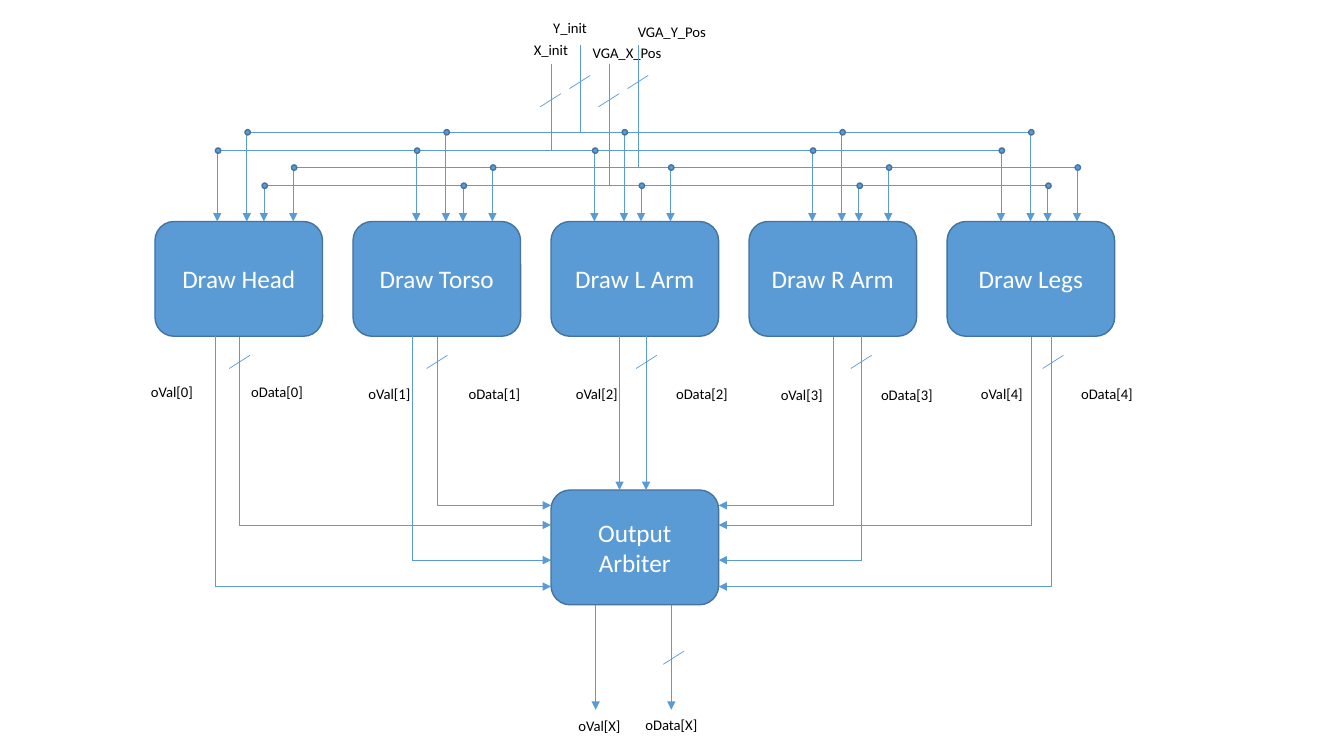
from lxml import etree
from pptx import Presentation
from pptx.dml.color import RGBColor
from pptx.enum.shapes import MSO_CONNECTOR, MSO_SHAPE
from pptx.enum.text import MSO_ANCHOR, MSO_AUTO_SIZE, PP_ALIGN
from pptx.oxml.ns import qn
from pptx.util import Pt

STRAIGHT, ELBOW = MSO_CONNECTOR.STRAIGHT, MSO_CONNECTOR.ELBOW
ROUNDED, OVAL = MSO_SHAPE.ROUNDED_RECTANGLE, MSO_SHAPE.OVAL
CENTER, MIDDLE, TOP = PP_ALIGN.CENTER, MSO_ANCHOR.MIDDLE, MSO_ANCHOR.TOP
NO_FIT, GROW = MSO_AUTO_SIZE.NONE, MSO_AUTO_SIZE.SHAPE_TO_FIT_TEXT

BLUE, EDGE, WHITE, BLACK = "5B9BD5", "43739E", "FFFFFF", "000000"

# Blocks
BLOCK_W, BLOCK_H, BLOCK_TOP = 119.7, 82, 158.2
BLOCK_LEFT, BLOCK_STEP = 110.7, 141.45
BLOCK_BOTTOM = BLOCK_TOP + BLOCK_H
ARBITER_LEFT = BLOCK_LEFT + 2 * BLOCK_STEP
ARBITER_RIGHT = ARBITER_LEFT + BLOCK_W
ARBITER_TOP = 350
ARBITER_BOTTOM = ARBITER_TOP + BLOCK_H
PARTS = ["Head", "Torso", "L Arm", "R Arm", "Legs"]

# First input tap of each block, and the offset of each bus from it
TAPS = [155.2, 297.4, 424.6, 580.2, 715]
# offset, bus y, feed x, feed top, label, label left, label top
BUSES = [
    (0, 107.6, 393.6, 45.5, "X_init", 349.2, 25.9),
    (33.3, 132.7, 435.2, 45.5, "VGA_X_Pos", 403.6, 27.6),
    (21.1, 94.5, 414.5, 32.5, "Y_init", 362.9, 9.6),
    (54.3, 119.7, 455.9, 32.5, "VGA_Y_Pos", 435.6, 12.7),
]

# Outputs of each block: slash x, left and top of the oVal label
OUTPUTS = [(171.2, 78.5, 270.2), (312.2, 233.8, 271.3), (461.8, 382, 271.3),
           (615.2, 528.4, 272.2), (752.2, 671.3, 271.2)]
DATA_LABEL_SHIFT = 75.1

# Elbow wires: x, start y, end y, arbiter side
ELBOWS = [(170.9, 224, 375, ARBITER_LEFT), (312.4, 210, 361, ARBITER_LEFT),
          (595, 210, 361, ARBITER_RIGHT), (736.8, 224, 375, ARBITER_RIGHT)]
# Two-piece wires: x, end y, arbiter side
WIRES = [(154, 419, ARBITER_LEFT), (294.6, 400.1, ARBITER_LEFT),
         (615.5, 400.1, ARBITER_RIGHT), (750.8, 419, ARBITER_RIGHT)]


def rgb(color):
    return RGBColor.from_string(color)


def set_all(obj, values):
    for name, value in values.items():
        setattr(obj, name, value)


def write(sp, text, size, color, frame):
    tf = sp.text_frame
    set_all(tf, {"word_wrap": True, **frame})
    p = tf.paragraphs[0]
    p.alignment = CENTER
    r = p.add_run()
    r.text = text
    set_all(r.font, {"name": "Calibri", "size": Pt(size)})
    r.font.color.rgb = rgb(color)


def add_filled(s, kind, x, y, w, h):
    sp = s.shapes.add_shape(kind, Pt(x), Pt(y), Pt(w), Pt(h))
    sp.shadow.inherit = False
    sp.fill.solid()
    sp.fill.fore_color.rgb = rgb(BLUE)
    sp.line.color.rgb = rgb(EDGE)
    sp.line.width = Pt(1)
    return sp


def add_block(s, text, x, y):
    sp = add_filled(s, ROUNDED, x, y, BLOCK_W, BLOCK_H)
    write(sp, text, 18, WHITE,
          {"vertical_anchor": MIDDLE, "auto_size": NO_FIT})


def add_dot(s, cx, cy, d=3.8):
    add_filled(s, OVAL, cx - d / 2, cy - d / 2, d, d)


def add_label(s, text, x, y):
    sp = s.shapes.add_textbox(Pt(x), Pt(y), Pt(88.6), Pt(20))
    write(sp, text, 10.5, BLACK, {"vertical_anchor": TOP, "auto_size": GROW})


def add_line(s, x1, y1, x2, y2, arrow=False, kind=STRAIGHT):
    c = s.shapes.add_connector(kind, Pt(x1), Pt(y1), Pt(x2), Pt(y2))
    c.line.color.rgb = rgb(BLUE)
    c.line.width = Pt(0.5)
    pr = c._element.spPr
    if arrow:
        etree.SubElement(pr.find(qn("a:ln")), qn("a:tailEnd"), type="triangle")
    etree.SubElement(pr, qn("a:effectLst"))
    return c


def add_elbow(s, x1, y1, x2, y2):
    """Wire down from (x1, y1), then sideways to (x2, y2)."""
    cx, cy = (x1 + x2) / 2, (y1 + y2) / 2
    half_w, half_h = (y2 - y1) / 2, abs(x2 - x1) / 2
    to_right = x2 > x1
    if to_right:
        half_w = -half_w  # drawn right to left, so the wire is flipped
    c = add_line(s, cx - half_w, cy - half_h, cx + half_w, cy + half_h,
                 True, ELBOW)
    pr = c._element.spPr
    pr.find(qn("a:prstGeom")).set("prst", "bentConnector2")
    pr.find(qn("a:xfrm")).set("rot", str((270 if to_right else 90) * 60000))


def add_slash(s, cx, cy):
    add_line(s, cx - 7.4, cy + 4.7, cx + 7.4, cy - 4.7)


def add_bus(s, offset, y, feed_x, feed_top, label, label_x, label_y):
    xs = [tap + offset for tap in TAPS]
    add_line(s, xs[0], y, xs[-1], y)
    add_line(s, feed_x, y, feed_x, feed_top)
    add_slash(s, feed_x - 0.3, feed_top + 26.1)
    add_label(s, label, label_x, label_y)
    for x in xs:
        add_line(s, x, y, x, BLOCK_TOP, True)
        add_dot(s, x + 0.6, y)


def main():
    prs = Presentation()
    set_all(prs, {"slide_width": Pt(960), "slide_height": Pt(540)})
    s = prs.slides.add_slide(prs.slide_layouts[6])

    # Elbow wires start behind the blocks
    for x, y1, y2, side in ELBOWS:
        add_elbow(s, x, y1, side, y2)

    # Blocks
    for i, part in enumerate(PARTS):
        add_block(s, f"Draw {part}", BLOCK_LEFT + i * BLOCK_STEP, BLOCK_TOP)
    add_block(s, "Output Arbiter", ARBITER_LEFT, ARBITER_TOP)

    # Input buses
    for bus in BUSES:
        add_bus(s, *bus)

    # Wires from the blocks to the arbiter
    for x, y, side in WIRES:
        add_line(s, x, BLOCK_BOTTOM, x, y)
        add_line(s, x, y, side, y, True)
    for x in (442.6, 461.5):
        add_line(s, x, BLOCK_BOTTOM, x, ARBITER_TOP, True)
    for i, (slash_x, x, y) in enumerate(OUTPUTS):
        add_slash(s, slash_x, 258.5)
        add_label(s, f"oVal[{i}]", x, y)
        add_label(s, f"oData[{i}]", x + DATA_LABEL_SHIFT, y)

    # Arbiter outputs
    for text, x, label_x, label_y in [("oVal[X]", 425.5, 383.9, 508.8),
                                      ("oData[X]", 479.5, 435.3, 507.9)]:
        add_line(s, x, ARBITER_BOTTOM, x, 507, True)
        add_label(s, text, label_x, label_y)
    add_slash(s, 481.2, 469.8)

    prs.save("out.pptx")


main()
